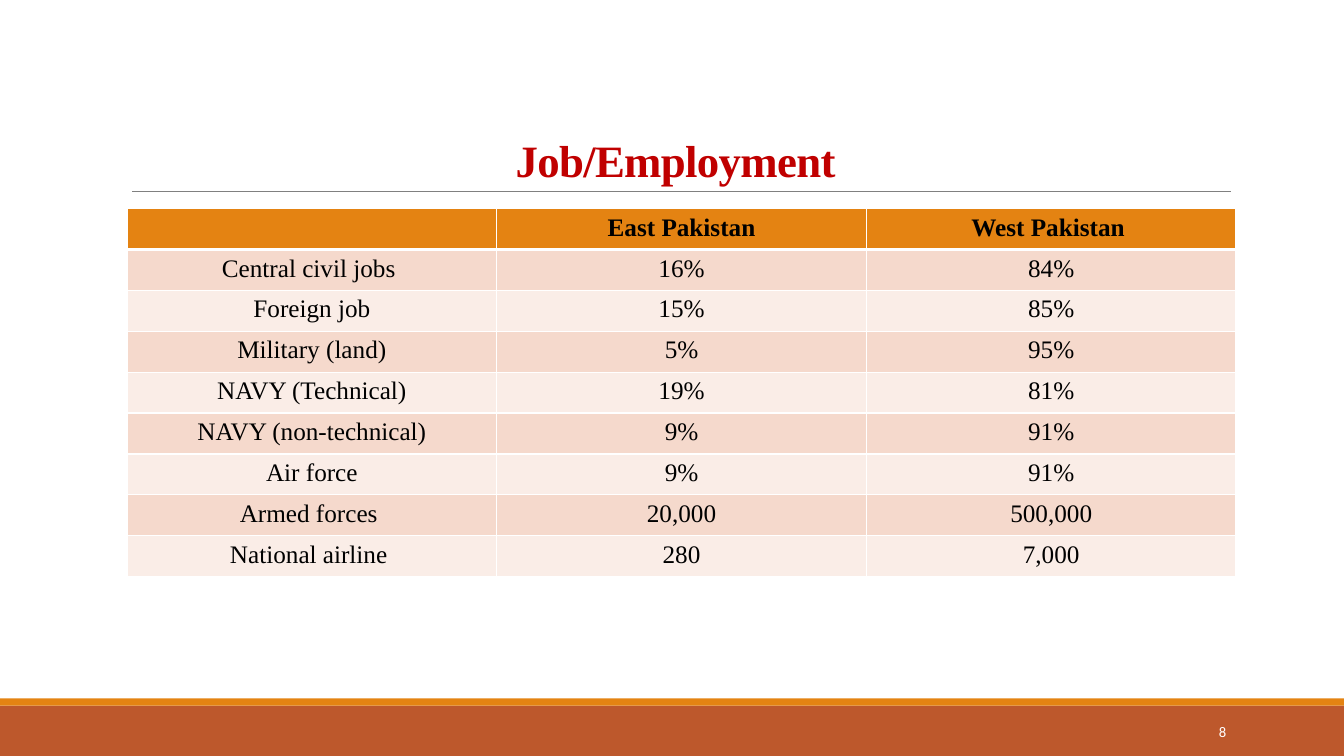
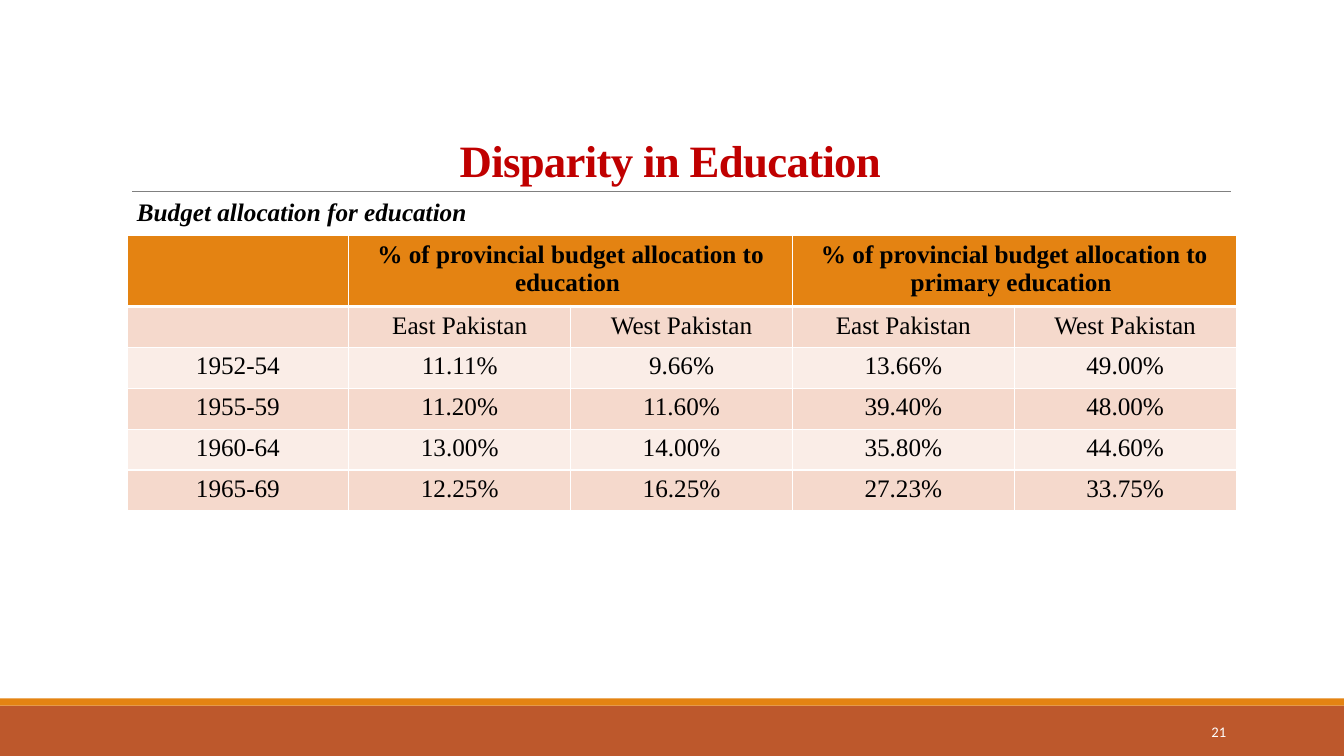
from dataclasses import dataclass

from lxml import etree
from pptx import Presentation
from pptx import util as u
from pptx.dml.color import RGBColor
from pptx.enum import shapes, text
from pptx.oxml.ns import qn

SLIDE_W, SLIDE_H = 13.33, 7.5
BAND_TOP, STRIPE_H = 7.0, 0.07
RULE_Y = 1.9
TABLE_LEFT, TABLE_W = 1.26, 11.0
ROW_H = 3.65 / 9

WHITE, BLACK, GREY = "FFFFFF", "000000", "808080"
RUST, ORANGE, RED = "BD582C", "E48312", "C00000"
ROW_FILLS = ("F5D9CC", "FAEDE7")
SERIF, SANS = "Times New Roman", "Calibri"
CENTER, LEFT, RIGHT = text.PP_ALIGN.CENTER, text.PP_ALIGN.LEFT, text.PP_ALIGN.RIGHT


@dataclass(frozen=True)
class Box:
    left: float
    top: float
    width: float
    height: float

    def emu(self) -> list[int]:
        return [u.Inches(v) for v in (self.left, self.top, self.width, self.height)]


@dataclass(frozen=True)
class TextStyle:
    size: float
    color: str = BLACK
    font: str = SERIF
    bold: bool = False
    italic: bool = False
    align: text.PP_ALIGN = CENTER
    line_spacing: float = 1.0
    tracking: float = 0


@dataclass(frozen=True)
class TableSlide:
    """In rows, None continues the cell on its left."""
    number: int
    title: str
    table_top: float
    rows: list[tuple]
    caption: str = ""


TITLE = TextStyle(32, RED, bold=True, line_spacing=0.85, tracking=-0.5)
CAPTION = TextStyle(18, bold=True, italic=True, align=LEFT)
HEADER, BODY = TextStyle(18, bold=True), TextStyle(18)
PAGE_NUMBER = TextStyle(10.5, WHITE, SANS, align=RIGHT)

SLIDES = [
    TableSlide(8, "Job/Employment", 2.07, [
        ("", "East Pakistan", "West Pakistan "),
        ("Central civil jobs ", "16%", "84%"),
        ("Foreign job", "15%", "85%"),
        ("Military (land)", "5%", "95%"),
        ("NAVY (Technical)", "19%", "81%"),
        ("NAVY (non-technical)", "9%", "91%"),
        ("Air force", "9%", "91%"),
        ("Armed forces ", "20,000", "500,000"),
        ("National airline ", "280", "7,000"),
    ]),
    TableSlide(21, "Disparity in Education ", 2.34, [
        ("", "% of provincial budget allocation to education ", None,
         "% of provincial budget allocation to primary education ", None),
        ("", "East Pakistan", "West Pakistan", "East Pakistan", "West Pakistan"),
        ("1952-54", "11.11%", "9.66%", "13.66%", "49.00%"),
        ("1955-59", "11.20%", "11.60%", "39.40%", "48.00%"),
        ("1960-64", "13.00%", "14.00%", "35.80%", "44.60%"),
        ("1965-69", "12.25%", "16.25%", "27.23%", "33.75%"),
    ], caption="Budget allocation for education"),
]


def rgb(color: str) -> RGBColor:
    return RGBColor.from_string(color)


def write(frame, content: str, style: TextStyle) -> None:
    paragraph = frame.paragraphs[0]
    paragraph.text = content
    paragraph.alignment = style.align
    paragraph.line_spacing = style.line_spacing
    paragraph.font.size = u.Pt(style.size)
    for run in paragraph.runs:
        font = run.font
        font.name, font.size = style.font, u.Pt(style.size)
        font.bold, font.italic = style.bold, style.italic
        font.color.rgb = rgb(style.color)
        if style.tracking:
            run._r.get_or_add_rPr().set("spc", str(round(style.tracking * 100)))


def add_text(slide, box: Box, content: str, style: TextStyle,
             anchor=text.MSO_ANCHOR.TOP) -> None:
    frame = slide.shapes.add_textbox(*box.emu()).text_frame
    frame.word_wrap = True
    frame.vertical_anchor = anchor
    write(frame, content, style)


def add_band(slide, top: float, height: float, color: str) -> None:
    band = slide.shapes.add_shape(shapes.MSO_SHAPE.RECTANGLE,
                                  *Box(0, top, SLIDE_W, height).emu())
    band.shadow.inherit = False
    band.fill.solid()
    band.fill.fore_color.rgb = rgb(color)
    band.line.fill.background()


def add_frame(slide, title: str, number: int) -> None:
    """Draw the bands, title, rule and page number that all slides share."""
    add_band(slide, BAND_TOP, SLIDE_H - BAND_TOP, RUST)
    add_band(slide, BAND_TOP - STRIPE_H, STRIPE_H, ORANGE)
    rule = slide.shapes.add_connector(
        shapes.MSO_CONNECTOR.STRAIGHT,
        *(u.Inches(v) for v in (1.31, RULE_Y, 12.21, RULE_Y)))
    rule.line.color.rgb = rgb(GREY)
    rule.line.width = u.Pt(0.5)
    etree.SubElement(rule._element.spPr, qn("a:effectLst"))
    add_text(slide, Box(1.2, 1, TABLE_W, RULE_Y - 1), title, TITLE,
             text.MSO_ANCHOR.BOTTOM)
    add_text(slide, Box(10.83, 7.06, 1.43, 0.4), str(number), PAGE_NUMBER,
             text.MSO_ANCHOR.MIDDLE)


def set_borders(cell, top: float, bottom: float) -> None:
    properties = cell._tc.get_or_add_tcPr()
    for side, width in (("L", 1), ("R", 1), ("T", top), ("B", bottom)):
        line = etree.SubElement(properties, qn(f"a:ln{side}"), w=str(u.Pt(width)))
        fill = etree.SubElement(line, qn("a:solidFill"))
        etree.SubElement(fill, qn("a:srgbClr"), val=WHITE)


def add_data_table(slide, content: TableSlide) -> None:
    rows = content.rows
    columns = len(rows[0])
    box = Box(TABLE_LEFT, content.table_top, TABLE_W, ROW_H * len(rows))
    table = slide.shapes.add_table(len(rows), columns, *box.emu()).table
    for column in table.columns:
        column.width = u.Inches(TABLE_W / columns)
    for r, values in enumerate(rows):
        is_header = r == 0
        table.rows[r].height = u.Inches(ROW_H)
        for c, value in enumerate(values):
            cell = table.cell(r, c)
            set_borders(cell, top=3 if r == 1 else 1, bottom=3 if is_header else 1)
            cell.fill.solid()
            cell.fill.fore_color.rgb = rgb(ORANGE if is_header else ROW_FILLS[(r - 1) % 2])
            if value is None:
                table.cell(r, c - 1).merge(cell)
            else:
                write(cell.text_frame, value, HEADER if is_header else BODY)


def main() -> None:
    deck = Presentation()
    deck.slide_width, deck.slide_height = u.Inches(SLIDE_W), u.Inches(SLIDE_H)
    blank = deck.slide_layouts[6]
    for content in SLIDES:
        slide = deck.slides.add_slide(blank)
        add_frame(slide, content.title, content.number)
        add_data_table(slide, content)
        if content.caption:
            add_text(slide, Box(TABLE_LEFT, RULE_Y, 9.27, 0.4), content.caption, CAPTION)
    deck.save("out.pptx")


if __name__ == "__main__":
    main()
